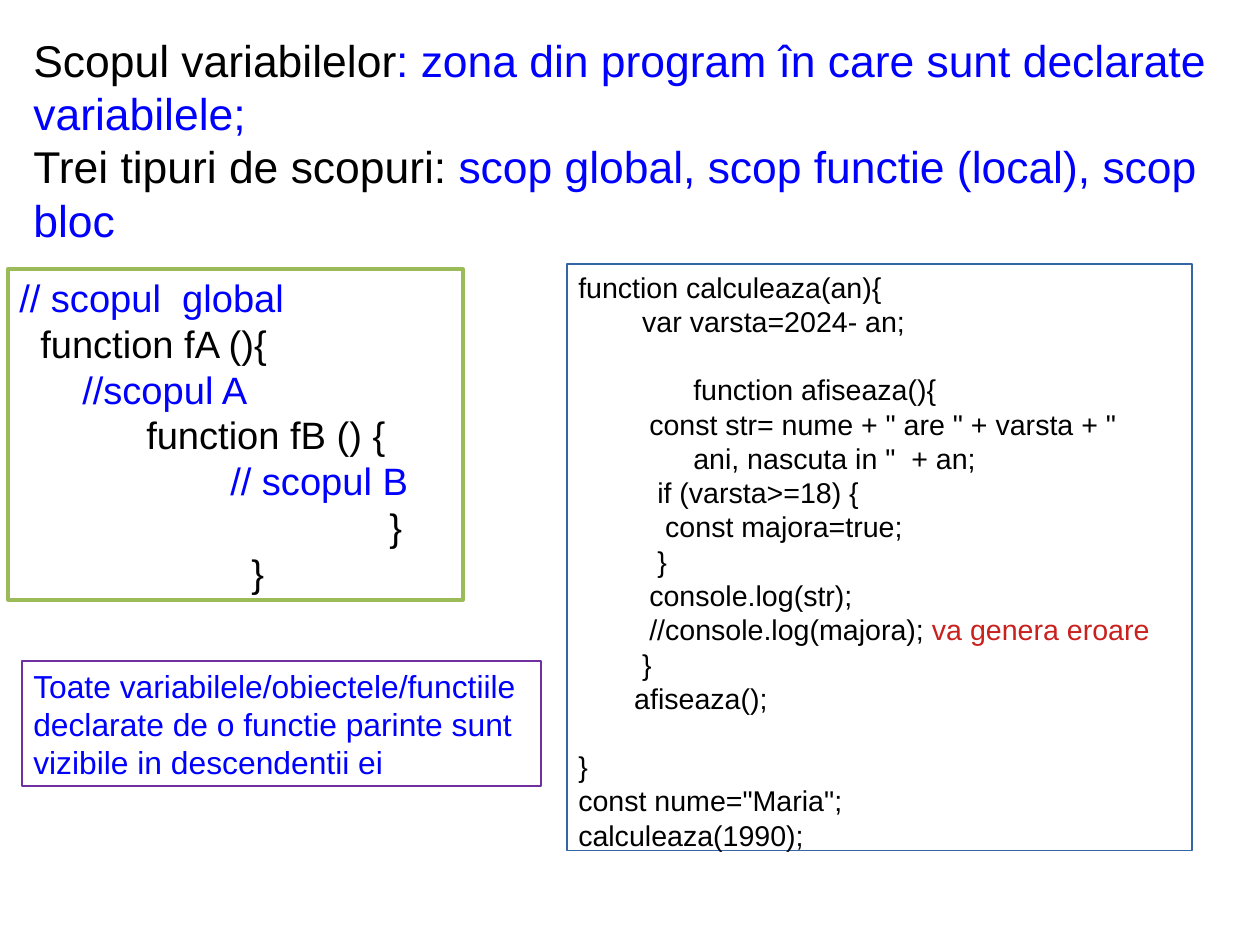
from pptx import Presentation
from pptx import util as u
from pptx.dml.color import RGBColor
from pptx.enum import shapes, text

PX = 8000
BLACK = RGBColor(0, 0, 0)
BLUE = RGBColor(0, 0, 255)
RED = RGBColor(201, 33, 30)
GREEN = RGBColor(155, 187, 89)
PURPLE = RGBColor(112, 48, 160)
STEEL = RGBColor(52, 101, 164)
WHITE = RGBColor(255, 255, 255)


def place(shape, box):
    for name, val in zip(("left", "top", "width", "height"), box):
        setattr(shape, name, val * PX)


def write(shape, size, lines, wrap):
    frame = shape.text_frame
    form = {"word_wrap": wrap, "auto_size": text.MSO_AUTO_SIZE.NONE,
            "vertical_anchor": text.MSO_ANCHOR.TOP}
    for name, val in form.items():
        setattr(frame, name, val)
    for i, (indent, gap, runs) in enumerate(lines):
        para = frame.add_paragraph() if i else frame.paragraphs[0]
        look = {"alignment": text.PP_ALIGN.LEFT, "space_before": u.Emu(gap * PX)}
        for name, val in look.items():
            setattr(para, name, val)
        para._p.get_or_add_pPr().set("marL", str(indent * PX))
        for words, tint in runs:
            run = para.add_run()
            run.text = words
            for name, val in {"name": "Arial", "size": u.Pt(size)}.items():
                setattr(run.font, name, val)
            run.font.color.rgb = tint


deck = Presentation()
deck.slide_width, deck.slide_height = 1260 * PX, 945 * PX
slide = deck.slides.add_slide(deck.slide_layouts[5])

title = slide.shapes.title
place(title, (22, 27, 1215, 209))
write(title, 28, [
    (0, 0, [("Scopul variabilelor", BLACK),
            (": zona din program în care sunt declarate variabilele;", BLUE)]),
    (0, 0, [("Trei tipuri de scopuri: ", BLACK),
            ("scop global, scop functie (local), scop bloc", BLUE)]),
], True)

scope = [
    (0, 0, [("// scopul  global", BLUE)]),
    (21, 0, [("function fA (){", BLACK)]),
    (63, 0, [("//scopul A", BLUE)]),
    (127, 0, [("function fB () {", BLACK)]),
    (211, 0, [("// scopul B", BLUE)]),
    (370, 0, [("}", BLACK)]),
    (232, 0, [("}", BLACK)]),
]
note = [(0, 0, [(line, BLUE)]) for line in (
    "Toate variabilele/obiectele/functiile",
    "declarate de o functie parinte sunt",
    "vizibile in descendentii ei",
)]
code = [
    (0, 0, [("function calculeaza(an){", BLACK)]),
    (64, 0, [("var varsta=2024- an;", BLACK)]),
    (115, 34, [("function afiseaza(){", BLACK)]),
    (71, 0, [('const str= nume + " are " + varsta + "', BLACK)]),
    (115, 0, [('ani, nascuta in "  + an;', BLACK)]),
    (79, 0, [("if (varsta>=18) {", BLACK)]),
    (87, 0, [("const majora=true;", BLACK)]),
    (79, 0, [("}", BLACK)]),
    (71, 0, [("console.log(str);", BLACK)]),
    (71, 0, [("//console.log(majora); ", BLACK), ("va genera eroare", RED)]),
    (64, 0, [("}", BLACK)]),
    (56, 0, [("afiseaza();", BLACK)]),
    (0, 34, [("}", BLACK)]),
    (0, 0, [('const nume="Maria";', BLACK)]),
    (0, 0, [("calculeaza(1990);", BLACK)]),
]

for box, fill, edge, thick, size, lines, wrap in (
    ((8, 269, 455, 331), WHITE, GREEN, 2, 24, scope, True),
    ((22, 661, 519, 125), None, PURPLE, 0, 20, note, True),
    ((567, 264, 625, 587), None, STEEL, 0, 18, code, True),
):
    shape = slide.shapes.add_shape(shapes.MSO_SHAPE.RECTANGLE, 0, 0, 0, 0)
    place(shape, box)
    shape.shadow.inherit = False
    if fill is None:
        shape.fill.background()
    else:
        shape.fill.solid()
        shape.fill.fore_color.rgb = fill
    shape.line.color.rgb = edge
    shape.line.width = u.Pt(thick)
    write(shape, size, lines, wrap)

deck.save("out.pptx")
